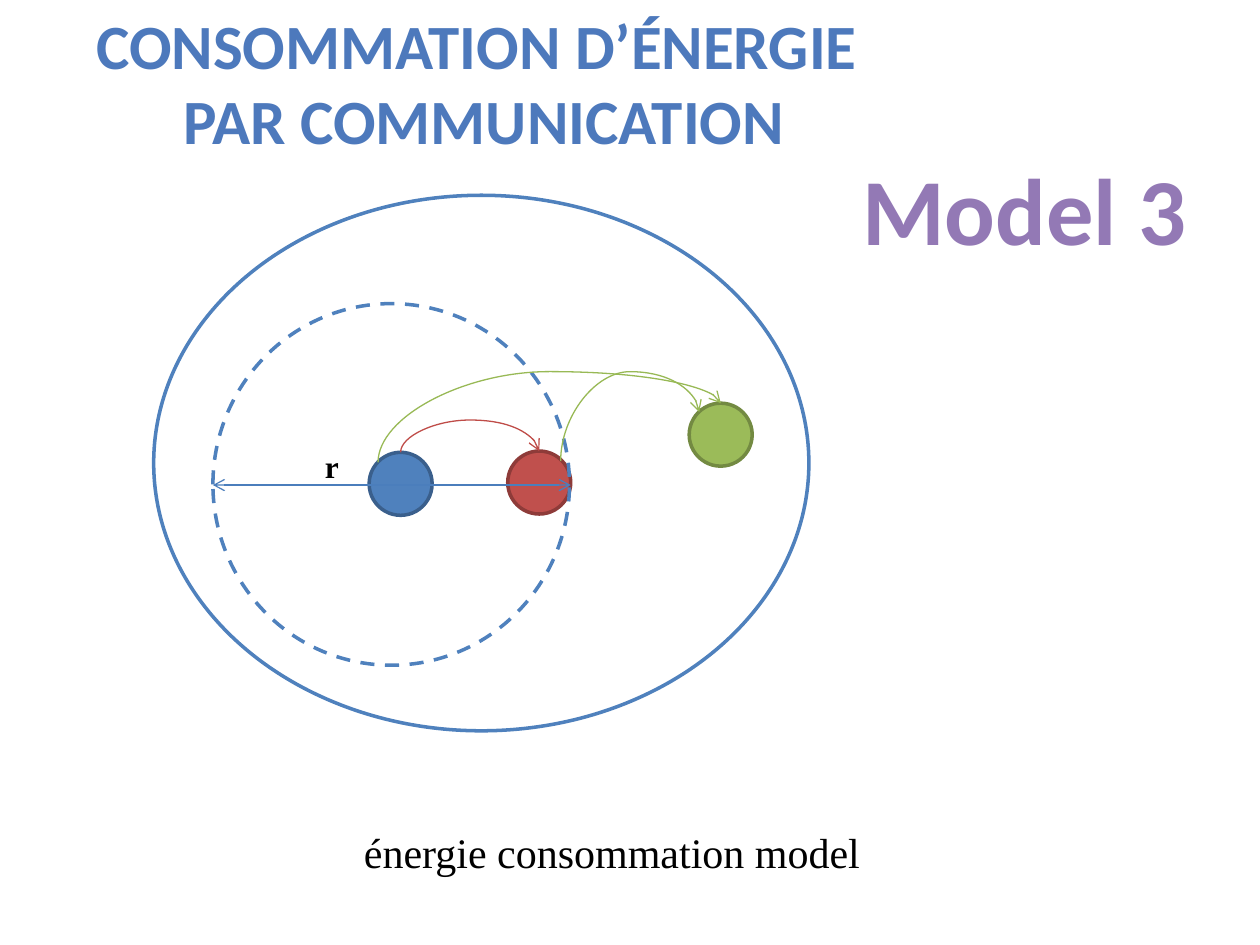
from lxml import etree
from pptx import Presentation
from pptx.dml.color import RGBColor
from pptx.enum.dml import MSO_LINE
from pptx.enum.shapes import MSO_CONNECTOR as CXN, MSO_SHAPE
from pptx.enum.text import MSO_ANCHOR, MSO_AUTO_SIZE, PP_ALIGN
from pptx.oxml.ns import qn
from pptx.util import Inches, Pt

TITLE_BLUE = RGBColor(0x4D, 0x79, 0xBC)
PURPLE = RGBColor(0x93, 0x79, 0xB5)
BLACK = RGBColor(0, 0, 0)
BLUE = RGBColor(0x4F, 0x81, 0xBD)
BLUE_EDGE = RGBColor(0x3A, 0x5F, 0x8C)
BLUE_LINE = RGBColor(0x4B, 0x7E, 0xBC)
GREEN = RGBColor(0x9B, 0xBB, 0x59)
GREEN_EDGE = RGBColor(0x73, 0x8A, 0x42)
GREEN_LINE = RGBColor(0x98, 0xB9, 0x55)
RED = RGBColor(0xC0, 0x50, 0x4D)
RED_EDGE = RGBColor(0x8E, 0x3B, 0x39)
RED_LINE = RGBColor(0xBF, 0x4C, 0x48)
NODE = 0.5


def place(sp, box):
    sp.left, sp.top, sp.width, sp.height = (Inches(v) for v in box)


def write(tf, lines, font, size, color, bold=False, align=PP_ALIGN.LEFT):
    tf.text = "\n".join(lines)
    tf.vertical_anchor = MSO_ANCHOR.TOP
    for p in tf.paragraphs:
        p.alignment = align
        p.font.name, p.font.size, p.font.bold = font, Pt(size), bold
        p.font.color.rgb = color


def add_title(s, box):
    title = s.shapes.title
    place(title, box)
    tf = title.text_frame
    write(tf, ["CONSOMMATION D’ÉNERGIE ", "PAR COMMUNICATION"],
          "Calibri", 36, TITLE_BLUE, True, PP_ALIGN.CENTER)
    tf.auto_size = MSO_AUTO_SIZE.SHAPE_TO_FIT_TEXT


def add_label(s, box, text, *style):
    tf = s.shapes.add_textbox(*(Inches(v) for v in box)).text_frame
    tf.word_wrap = False
    tf.auto_size = MSO_AUTO_SIZE.SHAPE_TO_FIT_TEXT
    write(tf, [text], *style)


def add_ellipse(s, box, edge, fill=None, dash=None):
    sp = s.shapes.add_shape(MSO_SHAPE.OVAL, *(Inches(v) for v in box))
    sp.shadow.inherit = False
    if fill is None:
        sp.fill.background()
    else:
        sp.fill.solid()
        sp.fill.fore_color.rgb = fill
    sp.line.color.rgb = edge
    sp.line.width = Pt(2)
    if dash is not None:
        sp.line.dash_style = dash


def add_arrow(s, kind, start, end, color, heads=("tailEnd",)):
    cxn = s.shapes.add_connector(kind, *(Inches(v) for v in (*start, *end)))
    cxn.line.color.rgb = color
    cxn.line.width = Pt(0.75)
    for head in heads:
        etree.SubElement(cxn.line._get_or_add_ln(), qn(f"a:{head}"), type="arrow")
    etree.SubElement(cxn._element.spPr, qn("a:effectLst"))
    return cxn


def add_arc(s, start, end, peak, color):
    (x1, y1), (x2, y2) = start, end
    rise, run = y1 - y2, x2 - x1
    left, top = (x1 + x2 - rise) / 2, (y1 + y2 - run) / 2
    cxn = add_arrow(s, CXN.CURVE, (left, top), (left + rise, top + run), color)
    xfrm = cxn._element.spPr.find(qn("a:xfrm"))
    for key, value in (("rot", "5400000"), ("flipH", "1"), ("flipV", "1")):
        xfrm.set(key, value)
    geom = cxn._element.spPr.find(qn("a:prstGeom"))
    guides = geom.find(qn("a:avLst"))
    if guides is None:
        guides = etree.SubElement(geom, qn("a:avLst"))
    bend = round((y1 - peak) / rise * 100000)
    etree.SubElement(guides, qn("a:gd"), name="adj1", fmla=f"val {bend}")


def add_network(s, box):
    x, y, w, h = box
    nodes = [(1.71, 2.04, BLUE, BLUE_EDGE),
             (4.25, 1.65, GREEN, GREEN_EDGE),
             (2.81, 2.03, RED, RED_EDGE)]
    for dx, dy, fill, edge in nodes:
        add_ellipse(s, (x + dx, y + dy, NODE, NODE), edge, fill)
    add_ellipse(s, (x + 0.47, y + 0.86, 2.83, 2.87), BLUE, dash=MSO_LINE.DASH)
    add_ellipse(s, box, BLUE)
    add_arrow(s, CXN.STRAIGHT, (x + 0.47, y + 2.3), (x + 3.31, y + 2.3),
              BLUE_LINE, ("headEnd", "tailEnd"))
    add_label(s, (x + 1.26, y + 1.95, 0.31, 0.4), "r",
              "Times New Roman", 18, BLACK, True)
    arcs = [((1.96, 2.04), (3.06, 2.03), 1.78, RED_LINE),
            ((1.78, 2.12), (4.5, 1.65), 1.4, GREEN_LINE),
            ((3.23, 2.11), (4.33, 1.72), 1.4, GREEN_LINE)]
    for (x1, y1), (x2, y2), peak, color in arcs:
        add_arc(s, (x + x1, y + y1), (x + x2, y + y2), y + peak, color)


def main():
    prs = Presentation()
    prs.slide_width, prs.slide_height = Inches(10), Inches(7.5)
    s = prs.slides.add_slide(prs.slide_layouts[5])
    add_title(s, (0, 0, 7.68, 1.31))
    add_network(s, (1.22, 1.55, 5.2, 4.25))
    add_label(s, (2.79, 6.51, 4.47, 0.5), "énergie consommation model",
              "Times New Roman", 24, BLACK)
    add_label(s, (6.73, 1.15, 2.8, 1.01), "Model 3",
              "Calibri", 54, PURPLE, True, PP_ALIGN.CENTER)
    prs.save("out.pptx")


if __name__ == "__main__":
    main()
